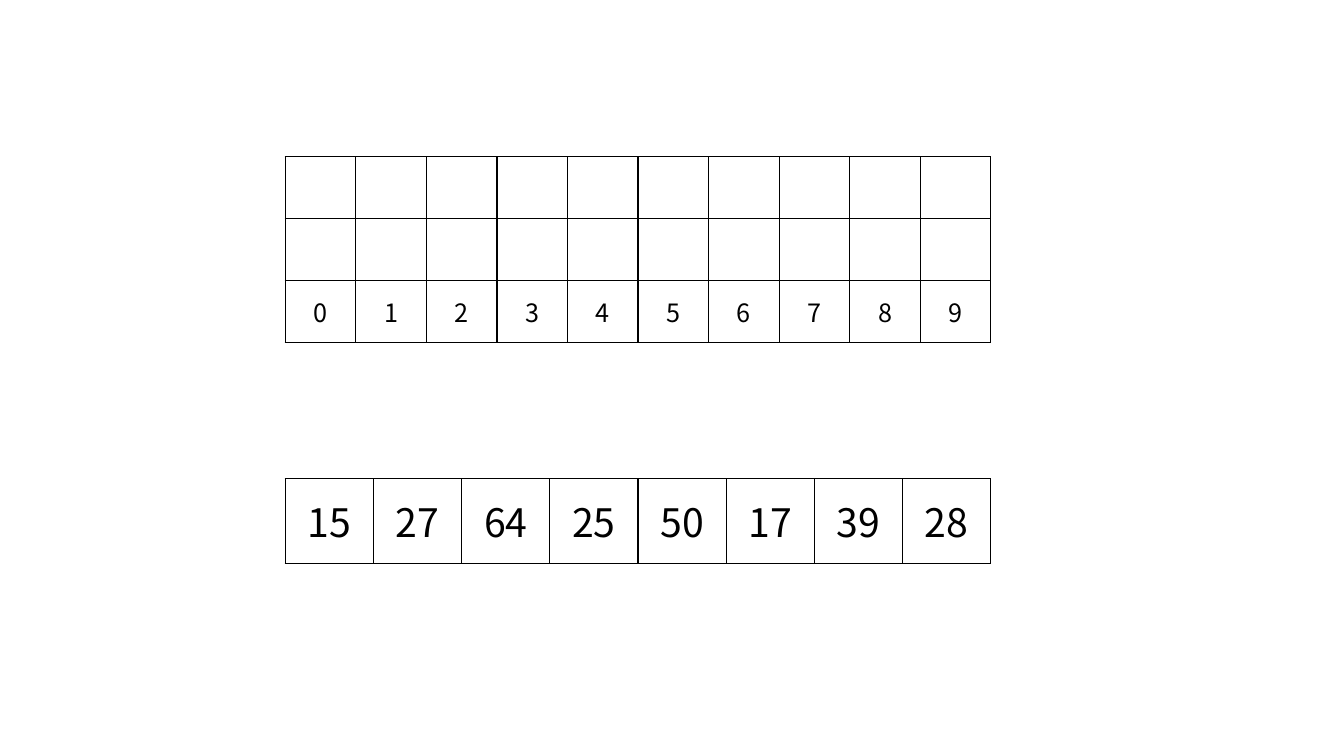
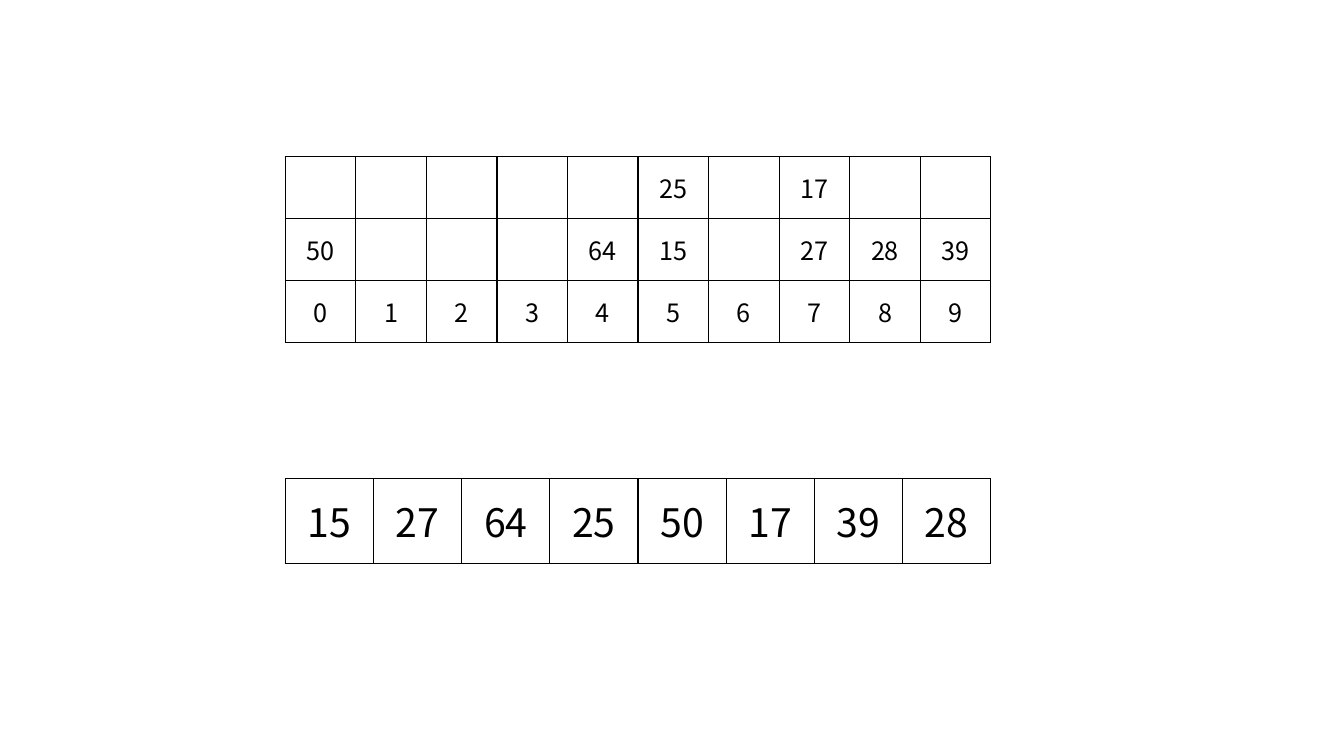
"""Two slides of radix sort: empty buckets, then buckets filled by last digit."""
from lxml.etree import SubElement
from pptx import Presentation
from pptx.dml.color import RGBColor
from pptx.enum.text import MSO_ANCHOR, PP_ALIGN
from pptx.oxml.ns import qn
from pptx.util import Cm, Pt

BLACK = RGBColor(0, 0, 0)
WHITE = RGBColor(255, 255, 255)
FONT = "Noto Sans CJK KR"
LEFT, WIDTH = 7.19, 17.78
NUMBERS = [15, 27, 64, 25, 50, 17, 39, 28]


def write(cell, text, size=18, fill=None):
    props = cell._tc.get_or_add_tcPr()
    for side in ("a:lnL", "a:lnR", "a:lnT", "a:lnB"):
        line = SubElement(props, qn(side), w=str(Pt(1)))
        paint = SubElement(line, qn("a:solidFill"))
        SubElement(paint, qn("a:srgbClr"), val=str(BLACK))
    if fill is None:
        cell.fill.background()
    else:
        cell.fill.solid()
        cell.fill.fore_color.rgb = fill
    cell.vertical_anchor = MSO_ANCHOR.MIDDLE
    para = cell.text_frame.paragraphs[0]
    para.alignment = PP_ALIGN.CENTER
    if text != "":
        run = para.add_run()
        run.text = str(text)
        run.font.name = FONT
        run.font.size = Pt(size)
        run.font.color.rgb = BLACK


def add_grid(slide, rows, top, height, **format):
    count = len(rows[0])
    frame = slide.shapes.add_table(len(rows), count, Cm(LEFT), Cm(top),
                                   Cm(WIDTH), Cm(height))
    table = frame.table
    table.first_row = table.horz_banding = False
    for r, row in enumerate(rows):
        for c, text in enumerate(row):
            write(table.cell(r, c), text, **format)


deck = Presentation()
deck.slide_width, deck.slide_height = Cm(33.87), Cm(19.05)

for items in ([], NUMBERS):
    slide = deck.slides.add_slide(deck.slide_layouts[6])
    slide.background.fill.solid()
    slide.background.fill.fore_color.rgb = WHITE
    buckets = [[""] * 10, [""] * 10, list(range(10))]
    for number in items:
        digit = number % 10
        level = 1 if buckets[1][digit] == "" else 0
        buckets[level][digit] = number
    add_grid(slide, [NUMBERS], 12.06, 2.13, size=28)
    add_grid(slide, buckets, 3.95, 4.68, fill=WHITE)

deck.save("out.pptx")
